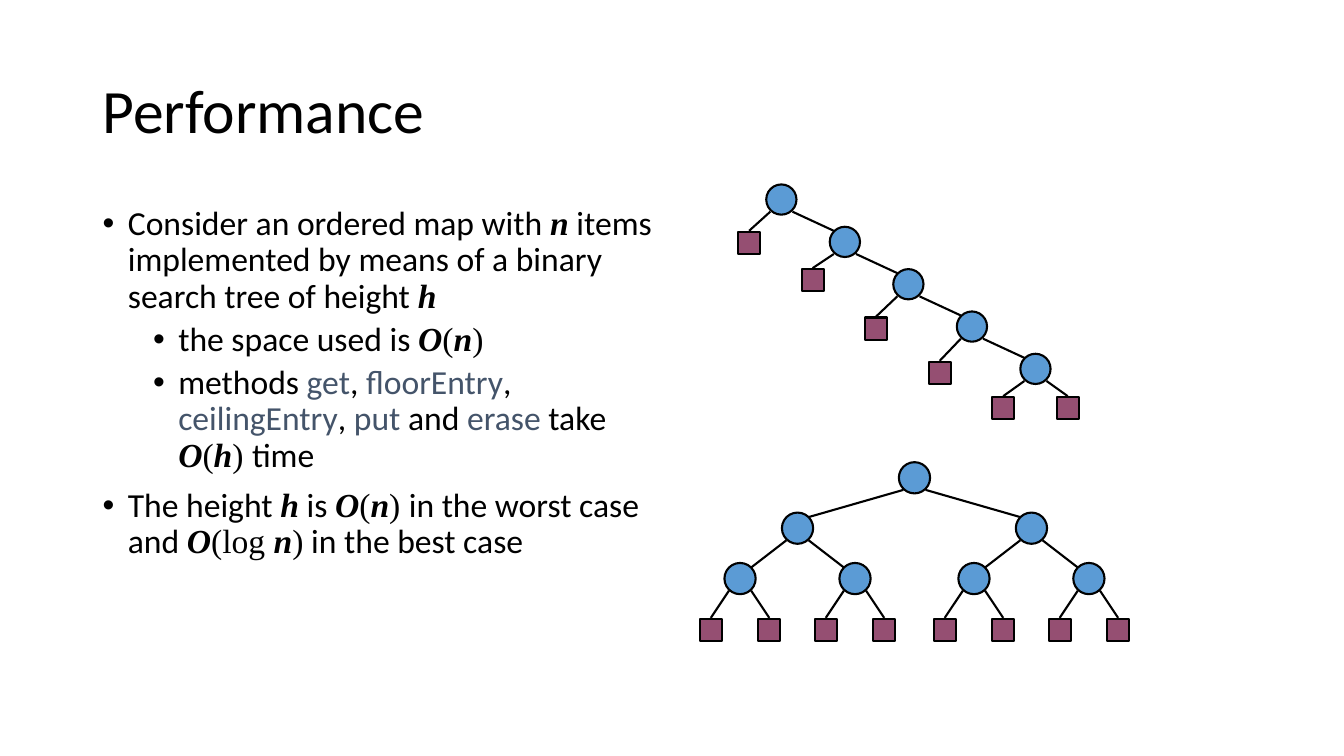
from lxml.etree import SubElement
from pptx import Presentation
from pptx.dml.color import RGBColor
from pptx.enum.shapes import MSO_CONNECTOR as Link, MSO_SHAPE as Kind
from pptx.enum.text import MSO_ANCHOR as Anchor
from pptx.oxml.ns import qn
from pptx.util import Pt

PX = 9144  # 100 px to the inch

BLACK = RGBColor(0x00, 0x00, 0x00)
SLATE = RGBColor(0x44, 0x54, 0x6A)
BLUE = RGBColor(0x5B, 0x9B, 0xD5)
PLUM = RGBColor(0x95, 0x4F, 0x72)

# Run styles: font, bold italic, colour
WORD = ("Calibri", False, BLACK)
CODE = ("Calibri", False, SLATE)
VAR = ("Times New Roman", True, BLACK)
SIGN = ("Times New Roman", False, BLACK)

LEAF = 22
EDGE_X, EDGE_Y = 11, 12

# Each point: level, runs
POINTS = [
    (0, [("Consider an ordered map with ", WORD), ("n", VAR),
         (" items implemented by means of a binary search tree of height ", WORD),
         ("h", VAR)]),
    (1, [("the space used is ", WORD), ("O", VAR), ("(", SIGN), ("n", VAR),
         (")", SIGN)]),
    (1, [("methods ", WORD), ("get", CODE), (", ", WORD), ("floorEntry", CODE),
         (", ", WORD), ("ceilingEntry", CODE), (",", WORD), (" put ", CODE),
         ("and ", WORD), ("erase", CODE), (" take ", WORD), ("O", VAR),
         ("(", SIGN), ("h", VAR), (") ", SIGN), ("time", WORD)]),
    (0, [("The height ", WORD), ("h", VAR), (" is ", WORD), ("O", VAR),
         ("(", SIGN), ("n", VAR), (") ", SIGN), ("in the worst case and ", WORD),
         ("O", VAR), ("(log ", SIGN), ("n", VAR), (")", SIGN),
         (" in the best case", WORD)]),
]


def add_box(slide, *area):
    frame = slide.shapes.add_textbox(*(n * PX for n in area)).text_frame
    frame.word_wrap = True
    return frame


def add_runs(para, runs, size):
    para.line_spacing = 0.9
    for text, (face, strong, color) in runs:
        run = para.add_run()
        run.text = text
        font = run.font
        font.name, font.size = face, Pt(size)
        font.bold = font.italic = strong
        font.color.rgb = color


def add_bullet(para, level):
    para.level = level
    para.space_before = Pt(5 if level else 10)
    props = para._p.get_or_add_pPr()
    props.set("marL", str((25 + 50 * level) * PX))
    props.set("indent", str(-25 * PX))
    SubElement(props, qn("a:buFont")).set("typeface", "Arial")
    SubElement(props, qn("a:buChar")).set("char", "•")


def add_mark(slide, kind, x, y, size, color):
    """Draw a tree node centred on x, y."""
    left, top = (int((n - size / 2) * PX) for n in (x, y))
    mark = slide.shapes.add_shape(kind, left, top, size * PX, size * PX)
    mark.shadow.inherit = False
    mark.fill.solid()
    mark.fill.fore_color.rgb = color
    mark.line.color.rgb = BLACK
    mark.line.width = Pt(1.5)


def add_edge(slide, *ends):
    edge = slide.shapes.add_connector(Link.STRAIGHT, *(n * PX for n in ends))
    edge.line.color.rgb = BLACK
    edge.line.width = Pt(1.5)
    SubElement(edge._element.spPr, qn("a:effectLst"))


def add_leaf(slide, x, y, child_x, child_y):
    """Hang a square leaf on the node at x, y."""
    side = 1 if child_x > x else -1
    add_edge(slide, x + side * EDGE_X, y + EDGE_Y, child_x, child_y - EDGE_Y)
    add_mark(slide, Kind.RECTANGLE, child_x, child_y, LEAF, PLUM)


def join(slide, x, y, child_x, child_y):
    """Link two round nodes."""
    side = EDGE_X if child_x > x else -EDGE_X
    add_edge(slide, x + side, y + EDGE_Y, child_x - side, child_y - EDGE_X)


def add_chain(slide, x, y, leaves):
    """Draw the worst case: every node has a leaf on its left."""
    step_x, step_y, gap = 63, 42, 32
    for i, leaf_y in enumerate(leaves):
        add_leaf(slide, x, y, x - gap, leaf_y)
        if i < len(leaves) - 1:
            join(slide, x, y, x + step_x, y + step_y)
        else:
            add_leaf(slide, x, y, x + gap, leaf_y)
        add_mark(slide, Kind.OVAL, x, y, 30, BLUE)
        x, y = x + step_x, y + step_y


def add_tree(slide, x, y, gaps):
    """Draw the best case: both halves of each node alike."""
    gap, *rest = gaps
    for child in (x - gap, x + gap):
        if rest:
            join(slide, x, y, child, y + 50)
            add_tree(slide, child, y + 50, rest)
        else:
            add_leaf(slide, x, y, child, y + 51)
    add_mark(slide, Kind.OVAL, x, y, 31, BLUE)


def main():
    deck = Presentation()
    deck.slide_width, deck.slide_height = 1333 * PX, 750 * PX
    slide = deck.slides.add_slide(deck.slide_layouts[6])

    title = add_box(slide, 92, 40, 1150, 145)
    title.vertical_anchor = Anchor.MIDDLE
    add_runs(title.paragraphs[0], [("Performance", WORD)], 44)

    body = add_box(slide, 92, 200, 567, 476)
    for i, (level, runs) in enumerate(POINTS):
        para = body.add_paragraph() if i else body.paragraphs[0]
        add_runs(para, runs, 24)
        add_bullet(para, level)

    add_chain(slide, 775, 198, [241, 278, 326, 370, 405])
    add_tree(slide, 907, 474, [116, 57, 29])
    deck.save("out.pptx")


if __name__ == "__main__":
    main()
